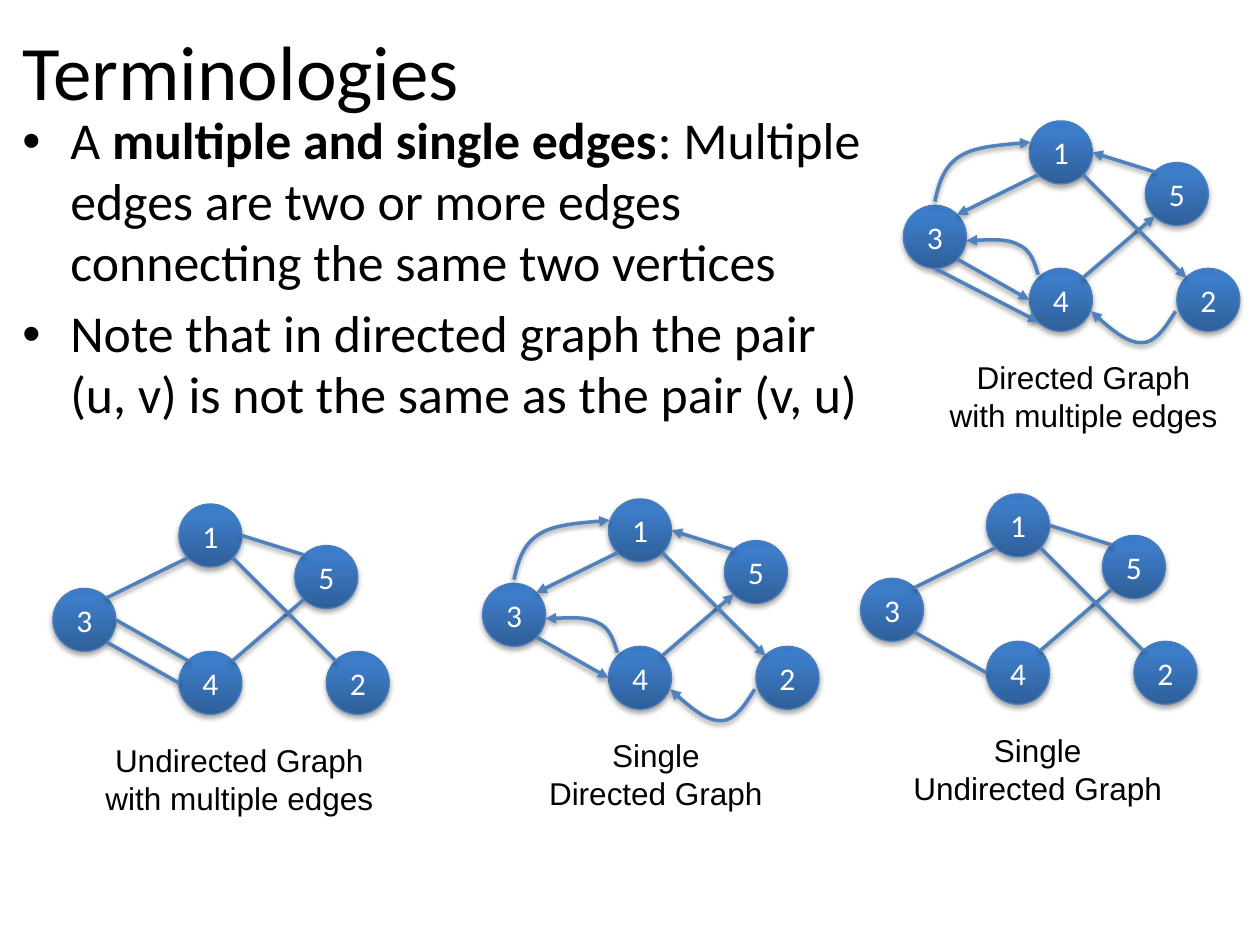
from lxml import etree
from pptx import Presentation
from pptx.dml.color import RGBColor
from pptx.enum.shapes import MSO_CONNECTOR, MSO_SHAPE
from pptx.enum.text import MSO_ANCHOR, MSO_AUTO_SIZE, PP_ALIGN
from pptx.oxml.ns import qn
from pptx.util import Inches, Pt

LEFT, CENTER = PP_ALIGN.LEFT, PP_ALIGN.CENTER
MIDDLE = MSO_ANCHOR.MIDDLE
OVAL, STRAIGHT = MSO_SHAPE.OVAL, MSO_CONNECTOR.STRAIGHT

COLORS = {"text": "000000", "white": "FFFFFF", "edge": "4F81BD",
          "node_line": "4B7EBC", "shadow": "000000"}
NODE_STOPS = [(0, "2F5F99"), (80, "3D7CC7"), (100, "3A7CCB")]

# Graph geometry in inches, relative to the graph's top left corner
NODE = 0.5
NODES = {1: (1, 0), 4: (1, 1.17), 5: (1.92, 0.33), 3: (0, 0.67), 2: (2.17, 1.17)}
SITES = {"top left": (0.15, 0.15), "left": (0, 0.5), "bottom left": (0.15, 0.85),
         "bottom": (0.5, 1), "bottom right": (0.85, 0.85), "right": (1, 0.5),
         "top right": (0.85, 0.15)}
EDGES = [(1, "bottom left", 3, "top right"), (3, "bottom right", 4, "left"),
         (4, "top right", 5, "bottom left"), (1, "bottom right", 2, "top left"),
         (5, "top left", 1, "right")]
# Each curve: start point, then three points for every Bezier segment
CURVES = [
    [(0.25, 0.64), (0.28, 0.5), (0.32, 0.36), (0.45, 0.28),
     (0.57, 0.2), (1.01, 0.17), (1.01, 0.17)],
    [(1.07, 1.22), (1.04, 1.12), (1.01, 1.02), (0.91, 0.98),
     (0.82, 0.93), (0.5, 0.95), (0.5, 0.95)],
    [(2.16, 1.51), (2.08, 1.64), (2, 1.76), (1.89, 1.76),
     (1.78, 1.76), (1.63, 1.64), (1.49, 1.51)],
]


def rgb(name):
    return RGBColor.from_string(COLORS[name])


def add_text(p, text, size=18, font="Calibri", color="text", bold=False, align=LEFT):
    p.alignment = align
    r = p.add_run()
    r.text = text
    r.font.size = Pt(size)
    r.font.name = font
    r.font.bold = bold
    r.font.color.rgb = rgb(color)


def add_shadow(sp, alpha, distance):
    effects = etree.SubElement(sp._element.spPr, qn("a:effectLst"))
    outer = etree.SubElement(effects, qn("a:outerShdw"), blurRad=str(Pt(3.1)),
                             dist=str(Pt(distance)), dir="5400000", rotWithShape="0")
    clr = etree.SubElement(outer, qn("a:srgbClr"), val=COLORS["shadow"])
    etree.SubElement(clr, qn("a:alpha"), val=str(alpha * 1000))


def style_edge(sp, arrow):
    sp.line.color.rgb = rgb("edge")
    sp.line.width = Pt(2)
    if arrow:
        ln = sp._element.spPr.find(qn("a:ln"))
        etree.SubElement(ln, qn("a:tailEnd"), type="triangle")
    add_shadow(sp, 38, 1.6)


def add_node(shapes, label, x, y):
    sp = shapes.add_shape(OVAL, Inches(x), Inches(y), Inches(NODE), Inches(NODE))
    sp.fill.gradient()
    sp.fill.gradient_angle = 90
    stops = sp._element.spPr.find(".//" + qn("a:gsLst"))
    for stop in list(stops):
        stops.remove(stop)
    for pos, color in NODE_STOPS:
        stop = etree.SubElement(stops, qn("a:gs"), pos=str(pos * 1000))
        etree.SubElement(stop, qn("a:srgbClr"), val=color)
    sp.line.color.rgb = rgb("node_line")
    sp.line.width = Pt(0.75)
    add_shadow(sp, 35, 1.8)
    tf = sp.text_frame
    tf.margin_left = tf.margin_right = tf.margin_top = tf.margin_bottom = 0
    tf.vertical_anchor = MIDDLE
    add_text(tf.paragraphs[0], str(label), color="white", align=CENTER)


def site_point(x, y, node, site):
    (nx, ny), (fx, fy) = NODES[node], SITES[site]
    return Inches(x + nx + fx * NODE), Inches(y + ny + fy * NODE)


def add_curve(shapes, x, y, points):
    start, *rest = [(Inches(x + px), Inches(y + py)) for px, py in points]
    builder = shapes.build_freeform(*start)
    builder.add_line_segments(rest, close=False)
    sp = builder.convert_to_shape()
    # Turn every three line segments into one Bezier segment
    segments = sp._element.xpath(".//a:lnTo")
    for i in range(0, len(segments), 3):
        bezier = etree.Element(qn("a:cubicBezTo"))
        segments[i].addprevious(bezier)
        for segment in segments[i:i + 3]:
            bezier.append(segment[0])
            segment.getparent().remove(segment)
    sp.fill.background()
    style_edge(sp, arrow=True)


def add_graph(slide, x, y, caption, caption_x, caption_w, directed=False, extra=()):
    shapes = slide.shapes.add_group_shape().shapes
    for label, (nx, ny) in NODES.items():
        add_node(shapes, label, x + nx, y + ny)
    for tail, tail_site, head, head_site in [*EDGES, *extra]:
        edge = shapes.add_connector(STRAIGHT, *site_point(x, y, tail, tail_site),
                                    *site_point(x, y, head, head_site))
        style_edge(edge, directed)
    if directed:
        for points in CURVES:
            add_curve(shapes, x, y, points)
    # Caption
    box = shapes.add_textbox(Inches(x + caption_x), Inches(y + 1.83),
                             Inches(caption_w), Inches(0.71))
    tf = box.text_frame
    tf.word_wrap = False
    tf.auto_size = MSO_AUTO_SIZE.SHAPE_TO_FIT_TEXT
    for i, line in enumerate(caption):
        p = tf.add_paragraph() if i else tf.paragraphs[0]
        add_text(p, line, font="Arial", align=CENTER)


def add_title(slide, x, y, w, h):
    title = slide.shapes.title
    title.left, title.top, title.width, title.height = map(Inches, (x, y, w, h))
    title.text_frame.vertical_anchor = MIDDLE
    add_text(title.text_frame.paragraphs[0], "Terminologies", size=44)


def add_bullets(slide, x, y, w, h):
    bullets = [
        [("A ", False), ("multiple and single edges", True),
         (": Multiple edges are two or more edges connecting the same two vertices", False)],
        [("Note that in directed graph the pair (u, v) is not the same as the pair (v, u)",
          False)],
    ]
    tf = slide.shapes.add_textbox(*map(Inches, (x, y, w, h))).text_frame
    tf.word_wrap = True
    for i, runs in enumerate(bullets):
        p = tf.add_paragraph() if i else tf.paragraphs[0]
        p.space_before = Pt(6)
        p.line_spacing = 0.98
        for text, bold in runs:
            add_text(p, text, size=29.6, bold=bold)
        pPr = p._p.get_or_add_pPr()
        pPr.set("marL", str(Inches(0.38)))
        pPr.set("indent", str(Inches(-0.38)))
        etree.SubElement(pPr, qn("a:buFont"), typeface="Arial")
        etree.SubElement(pPr, qn("a:buChar"), char="•")


def main():
    prs = Presentation()
    prs.slide_width, prs.slide_height = Inches(10), Inches(7.5)
    slide = prs.slides.add_slide(prs.slide_layouts[5])
    add_title(slide, 0.08, 0.08, 9.75, 0.95)
    add_bullets(slide, 0.08, 0.83, 7, 3.17)

    # The four graphs
    add_graph(slide, 7.17, 0.96, ["Directed Graph", "with multiple edges"], 0.25, 2.36,
              directed=True, extra=[(3, "bottom", 4, "bottom left")])
    add_graph(slide, 0.42, 4, ["Undirected Graph", "with multiple edges"], 0.3, 2.36,
              extra=[(3, "right", 4, "top left")])
    add_graph(slide, 6.83, 3.92, ["Single", "Undirected Graph"], 0.31, 2.19)
    add_graph(slide, 3.83, 3.96, ["Single", "Directed Graph"], 0.42, 1.91, directed=True)
    prs.save("out.pptx")


if __name__ == "__main__":
    main()
